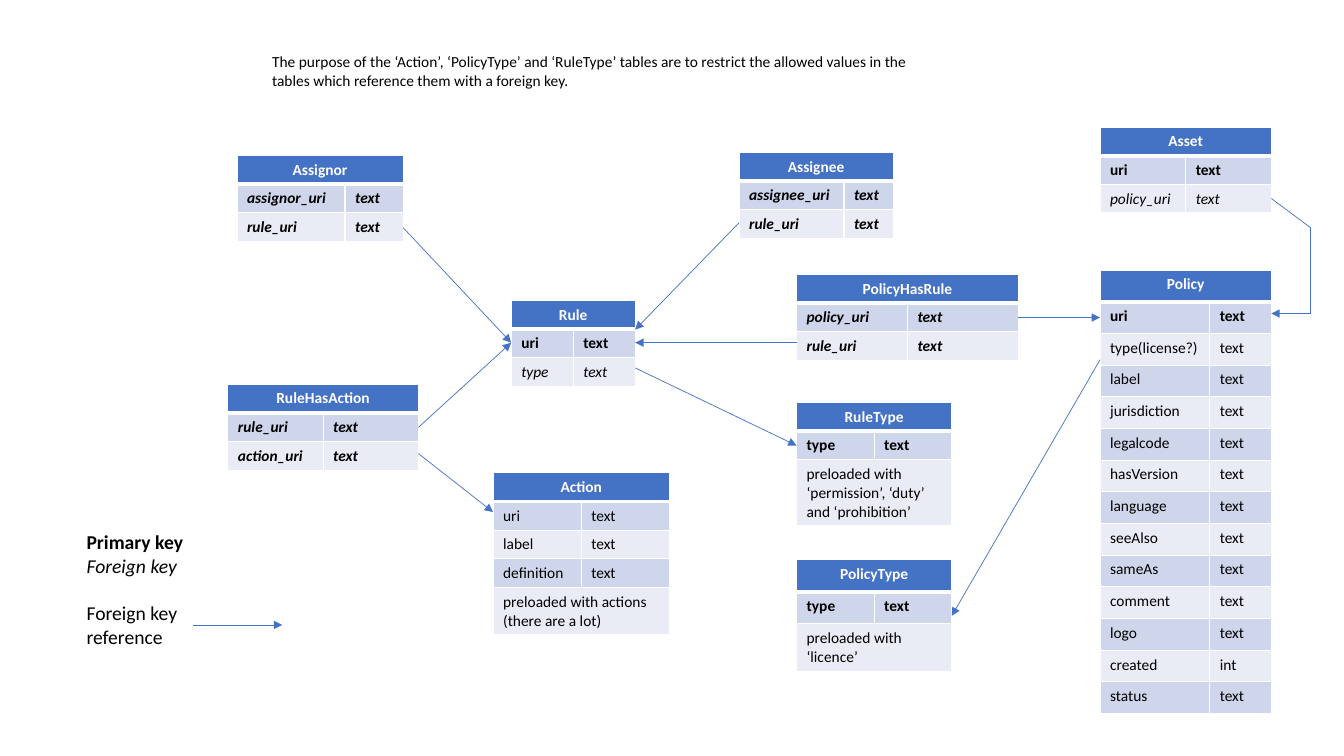
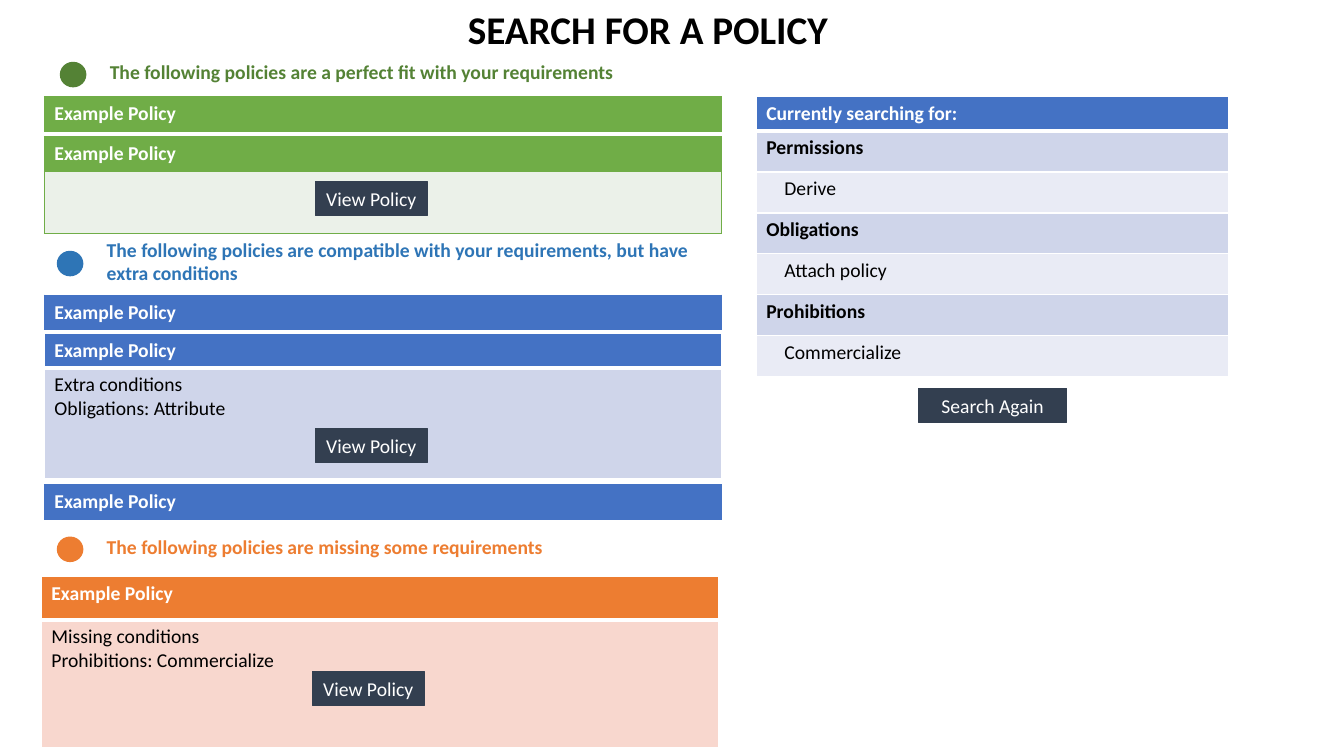
from dataclasses import dataclass

from lxml.etree import SubElement
from pptx import Presentation
from pptx.dml.color import RGBColor
from pptx.enum.shapes import MSO_CONNECTOR, MSO_SHAPE
from pptx.enum.text import MSO_ANCHOR, MSO_AUTO_SIZE, PP_ALIGN
from pptx.oxml.ns import qn
from pptx.util import Inches, Pt

COLUMNS, ROWS = 13.33, 7.5
CELL = Inches(1)
FONT = "Calibri"
COLOURS = {
    "white": "FFFFFF", "black": "000000", "blue": "4472C4",
    "band": "CFD5EA", "pale": "E9EBF5", "button": "333F50",
    "green": "70AD47", "green_dark": "548235", "green_pale": "EBF1E9",
    "blue_dark": "2E75B6", "orange": "ED7D31", "orange_pale": "F8D7CE",
}


@dataclass
class Box:
    left: float
    top: float
    width: float
    height: float

    @property
    def right(self):
        return self.left + self.width

    def inner(self, left, top, width, height):
        return Box(self.left + left, self.top + top, width, height)

    def lengths(self):
        return [grid(value) for value in (self.left, self.top, self.width, self.height)]


def grid(cells):
    return round(cells * CELL)


def colour(name):
    return RGBColor.from_string(COLOURS[name])


def write(frame, lines, size, ink, bold=False, italic=False, align=PP_ALIGN.LEFT):
    for index, line in enumerate(lines):
        paragraph = frame.add_paragraph() if index else frame.paragraphs[0]
        paragraph.alignment = align
        run = paragraph.add_run()
        run.text = line
        font = run.font
        font.name, font.size, font.bold, font.italic = FONT, Pt(size), bold, italic
        font.color.rgb = colour(ink)


def add_text(slide, box, lines, size, ink, wrap=True, **style):
    frame = slide.shapes.add_textbox(*box.lengths()).text_frame
    frame.word_wrap = wrap
    write(frame, lines, size, ink, **style)
    return frame


def add_filled_shape(slide, kind, box, fill, line_width):
    shape = slide.shapes.add_shape(kind, *box.lengths())
    shape.shadow.inherit = False
    shape.fill.solid()
    shape.fill.fore_color.rgb = colour(fill)
    shape.line.color.rgb = colour(fill)
    shape.line.width = Pt(line_width)
    return shape


def add_button(slide, box, label):
    shape = add_filled_shape(slide, MSO_SHAPE.RECTANGLE, box, "button", 0.75)
    shape.text_frame.word_wrap = False
    write(shape.text_frame, [label], 14, "white", align=PP_ALIGN.CENTER)


def add_line(slide, start, end, arrow=True):
    connector = slide.shapes.add_connector(
        MSO_CONNECTOR.STRAIGHT, *[grid(value) for value in (*start, *end)])
    connector.line.color.rgb = colour("blue")
    connector.line.width = Pt(0.5)
    properties = connector._element.spPr
    if arrow:
        SubElement(properties.find(qn("a:ln")), qn("a:tailEnd"), type="triangle")
    SubElement(properties, qn("a:effectLst"))


def style_cell(cell, fill, border, top=1, bottom=1):
    properties = cell._tc.get_or_add_tcPr()
    for side, width in (("L", 1), ("R", 1), ("T", top), ("B", bottom)):
        line = SubElement(properties, qn(f"a:ln{side}"), w=str(int(Pt(width))))
        solid = SubElement(line, qn("a:solidFill"))
        SubElement(solid, qn("a:srgbClr"), val=COLOURS[border])
    cell.fill.solid()
    cell.fill.fore_color.rgb = colour(fill)


def add_grid_table(slide, box, widths, heights, fills, border="white", divider=3):
    table = slide.shapes.add_table(len(heights), len(widths), *box.lengths()).table
    table.horz_banding = False
    for column, width in zip(table.columns, widths):
        column.width = grid(width)
    for index, (row, height, fill) in enumerate(zip(table.rows, heights, fills)):
        row.height = grid(height)
        for cell in row.cells:
            style_cell(cell, fill, border,
                       top=divider if index == 1 else 1,
                       bottom=divider if index == 0 else 1)
    return table


def banded(count):
    return ["blue"] + [("band", "pale")[index % 2] for index in range(count)]


PLAIN, PRIMARY, FOREIGN, BOTH = "", "b", "i", "bi"
ROW = 0.285


@dataclass
class Entity:
    box: Box
    fields: list
    first_share: float = 0.5
    note: str = ""
    row: float = ROW


def fields_of(names, key=PLAIN, kind="text"):
    return [(name, kind, key) for name in names.split()]


ENTITIES = {
    "Asset": Entity(Box(10.91, 1.26, 1.7, 0.855),
                    fields_of("uri", PRIMARY) + fields_of("policy_uri", FOREIGN)),
    "Policy": Entity(
        Box(10.91, 2.68, 1.7, 4.4),
        fields_of("uri", PRIMARY)
        + fields_of("type(license?) label jurisdiction legalcode hasVersion"
                    " language seeAlso sameAs comment logo")
        + fields_of("created", kind="int") + fields_of("status"), 0.64, row=4.4 / 14),
    "Rule": Entity(Box(5.07, 2.98, 1.23, 0.855),
                   fields_of("uri", PRIMARY) + fields_of("type", FOREIGN)),
    "RuleType": Entity(Box(7.9, 3.99, 1.54, 1.22), fields_of("type", PRIMARY),
                       note="preloaded with ‘permission’, ‘duty’ and ‘prohibition’"),
    "PolicyHasRule": Entity(Box(7.9, 2.72, 2.2, 0.855), fields_of("policy_uri rule_uri", BOTH)),
    "RuleHasAction": Entity(Box(2.26, 3.81, 1.89, 0.855), fields_of("rule_uri action_uri", BOTH)),
    "Action": Entity(Box(4.89, 4.69, 1.75, 1.6), fields_of("uri label definition"),
                     note="preloaded with actions (there are a lot)"),
    "Assignor": Entity(Box(2.35, 1.54, 1.65, 0.855),
                       fields_of("assignor_uri rule_uri", BOTH), 0.65),
    "Assignee": Entity(Box(7.33, 1.51, 1.53, 0.855),
                       fields_of("assignee_uri rule_uri", BOTH), 0.68),
    "PolicyType": Entity(Box(7.9, 5.55, 1.54, 1.11), fields_of("type", PRIMARY),
                         note="preloaded with ‘licence’", row=0.32),
}

REFERENCES = [
    ("PolicyHasRule", "right", 3.15, "Policy", "left", 3.15),
    ("PolicyHasRule", "left", 3.4, "Rule", "right", 3.4),
    ("Rule", "right", 3.65, "RuleType", "left", 4.42),
    ("RuleHasAction", "right", 4.24, "Rule", "left", 3.4),
    ("RuleHasAction", "right", 4.5, "Action", "left", 5.08),
    ("Assignor", "right", 2.26, "Rule", "left", 3.4),
    ("Assignee", "left", 2.21, "Rule", "right", 3.27),
    ("Policy", "left", 3.57, "PolicyType", "right", 6.11),
]


def add_entity(slide, name, entity):
    box = entity.box
    heights = [entity.row] * (len(entity.fields) + 1)
    if entity.note:
        heights.append(box.height - sum(heights))
    first = box.width * entity.first_share
    table = add_grid_table(slide, box, [first, box.width - first], heights,
                           banded(len(heights) - 1))
    table.cell(0, 0).merge(table.cell(0, 1))
    write(table.cell(0, 0).text_frame, [name], 11, "white", bold=True, align=PP_ALIGN.CENTER)
    for row, (field, kind, key) in enumerate(entity.fields, 1):
        for column, text in enumerate((field, kind)):
            write(table.cell(row, column).text_frame, [text], 11, "black",
                  bold="b" in key, italic="i" in key)
    if entity.note:
        last = len(heights) - 1
        table.cell(last, 0).merge(table.cell(last, 1))
        write(table.cell(last, 0).text_frame, [entity.note], 11, "black")


def side_of(name, side):
    box = ENTITIES[name].box
    return box.left if side == "left" else box.right


def add_references(slide):
    for source, source_side, start, target, target_side, end in REFERENCES:
        add_line(slide, (side_of(source, source_side), start),
                 (side_of(target, target_side), end))
    edge = ENTITIES["Asset"].box.right
    bend = edge + 0.39
    route = [(edge, 1.97), (bend, 2.26), (bend, 3.11), (edge, 3.11)]
    for index, (start, end) in enumerate(zip(route, route[1:])):
        add_line(slide, start, end, arrow=index == 2)


def add_legend(slide, box):
    frame = add_text(slide, box, ["Primary key", "Foreign key", "Foreign key reference"],
                     14, "black")
    primary, foreign, reference = frame.paragraphs
    primary.runs[0].font.bold = True
    foreign.runs[0].font.italic = True
    reference.space_before = Pt(17)
    arrow_top = box.top + 0.99
    add_line(slide, (box.left + 1.15, arrow_top), (box.left + 2.04, arrow_top))


def build_schema_slide(presentation):
    slide = presentation.slides.add_slide(presentation.slide_layouts[6])
    add_text(slide, Box(2.6, 0.47, 6.62, 0.47), [
        "The purpose of the ‘Action’, ‘PolicyType’ and ‘RuleType’ tables are to restrict "
        "the allowed values in the ",
        "tables which reference them with a foreign key."], 11, "black", wrap=False)
    for name, entity in ENTITIES.items():
        add_entity(slide, name, entity)
    add_references(slide)
    add_legend(slide, Box(0.76, 5.21, 1.59, 1.28))


@dataclass
class Card:
    top: float
    header: float = 0.34
    body: float = 0
    lines: tuple = ()


def add_card(slide, box, card, fill, body_fill, border):
    heights = [card.header] + ([card.body] if card.body else [])
    table = add_grid_table(slide, box.inner(0, card.top, box.width, sum(heights)),
                           [box.width], heights, [fill, body_fill],
                           border, 3 if border == "white" else 1)
    write(table.cell(0, 0).text_frame, ["Example Policy"], 14, "white", bold=True)
    if card.body:
        write(table.cell(1, 0).text_frame, card.lines, 14, "black")
        button_top = card.top + 0.44 + 0.25 * len(card.lines)
        add_button(slide, box.inner(0.4 * box.width, button_top, 1.11, 0.34), "View Policy")


def add_result_group(slide, box, heading, heading_box, ink, fill, body_fill, cards):
    dot_top = (heading_box.height - 0.24) / 2 + 0.02
    add_filled_shape(slide, MSO_SHAPE.OVAL, heading_box.inner(-0.39, dot_top, 0.25, 0.24), ink, 1)
    add_text(slide, heading_box, [heading], 14, ink, bold=True)
    for card in cards:
        framed = not card.body or fill == "green"
        add_card(slide, box, card, fill, body_fill, fill if framed else "white")


def add_search_panel(slide, box):
    entries = ["Currently searching for:", "Permissions", "Derive", "Obligations",
               "Attach policy", "Prohibitions", "Commercialize"]
    header = 0.34
    row = (box.height - header) / (len(entries) - 1)
    table = add_grid_table(slide, box, [box.width], [header] + [row] * (len(entries) - 1),
                           banded(len(entries) - 1))
    for index, entry in enumerate(entries):
        cell = table.cell(index, 0)
        detail = index > 0 and index % 2 == 0
        if detail:
            cell.margin_left = grid(0.28)
        write(cell.text_frame, [entry], 14, "black" if index else "white", bold=not detail)
    add_button(slide, box.inner(1.61, box.height + 0.11, 1.47, 0.34), "Search Again")


def add_title(slide, box, text):
    title = slide.shapes.title
    title.left, title.top, title.width, title.height = box.lengths()
    frame = title.text_frame
    frame.auto_size = MSO_AUTO_SIZE.NONE
    frame.vertical_anchor = MSO_ANCHOR.TOP
    frame.word_wrap = False
    write(frame, [text], 28, "black", bold=True)


def build_search_slide(presentation):
    slide = presentation.slides.add_slide(presentation.slide_layouts[5])
    add_title(slide, Box(4.54, 0, 3.81, 0.57), "SEARCH FOR A POLICY")
    add_result_group(
        slide, Box(0.44, 0.55, 6.72, 1.76),
        "The following policies are a perfect fit with your requirements",
        Box(0.99, 0.55, 6.18, 0.34), "green_dark", "green", "green_pale",
        [Card(0.41), Card(0.81, body=0.62)])
    add_result_group(
        slide, Box(0.44, 2.31, 6.72, 2.83),
        "The following policies are compatible with your requirements, but have extra conditions",
        Box(0.96, 2.31, 6.18, 0.57), "blue_dark", "blue", "band",
        [Card(0.62), Card(1, body=1.1, lines=("Extra conditions", "Obligations: Attribute")),
         Card(2.5)])
    add_result_group(
        slide, Box(0.41, 5.26, 6.72, 2.16),
        "The following policies are missing some requirements",
        Box(0.96, 5.26, 6.18, 0.34), "orange", "orange", "orange_pale",
        [Card(0.46, 0.43, 1.27, ("Missing conditions", "Prohibitions: Commercialize"))])
    add_search_panel(slide, Box(7.5, 0.96, 4.69, 2.78))


presentation = Presentation()
presentation.slide_width, presentation.slide_height = grid(COLUMNS), grid(ROWS)
build_schema_slide(presentation)
build_search_slide(presentation)
presentation.save("out.pptx")
